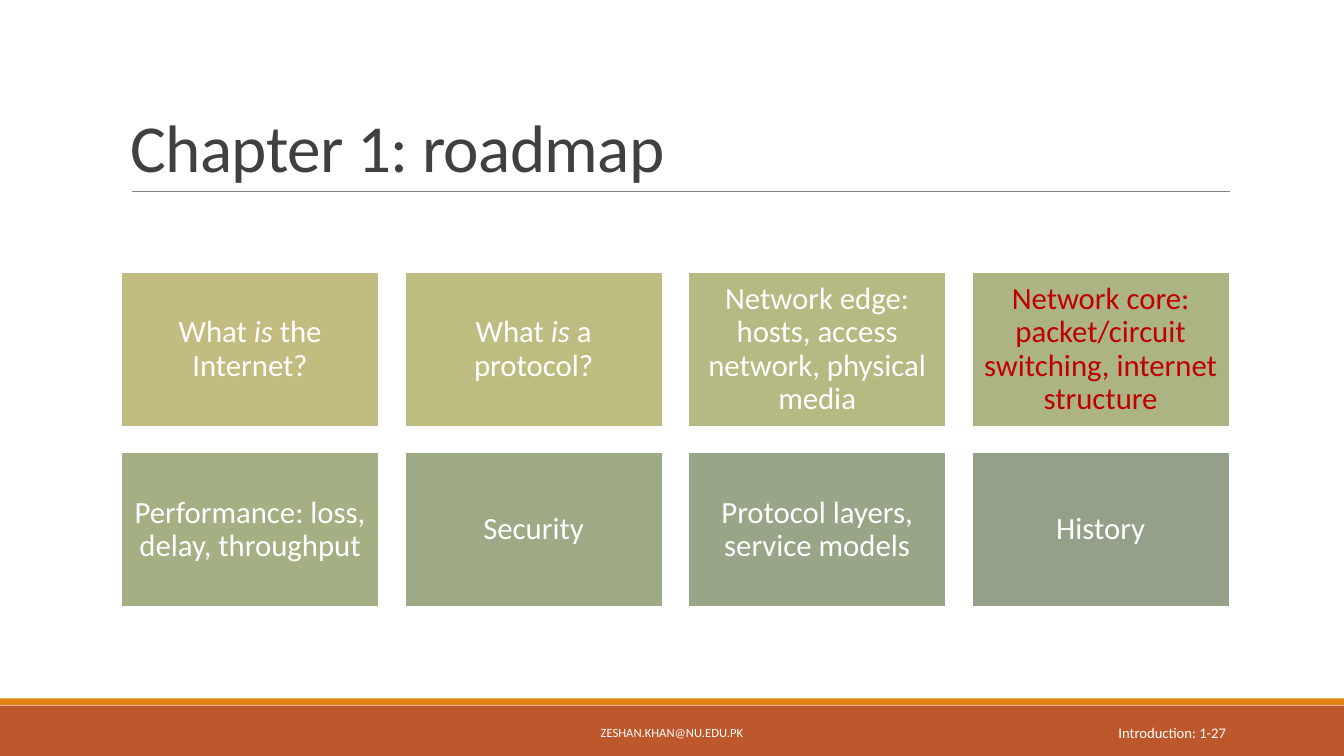
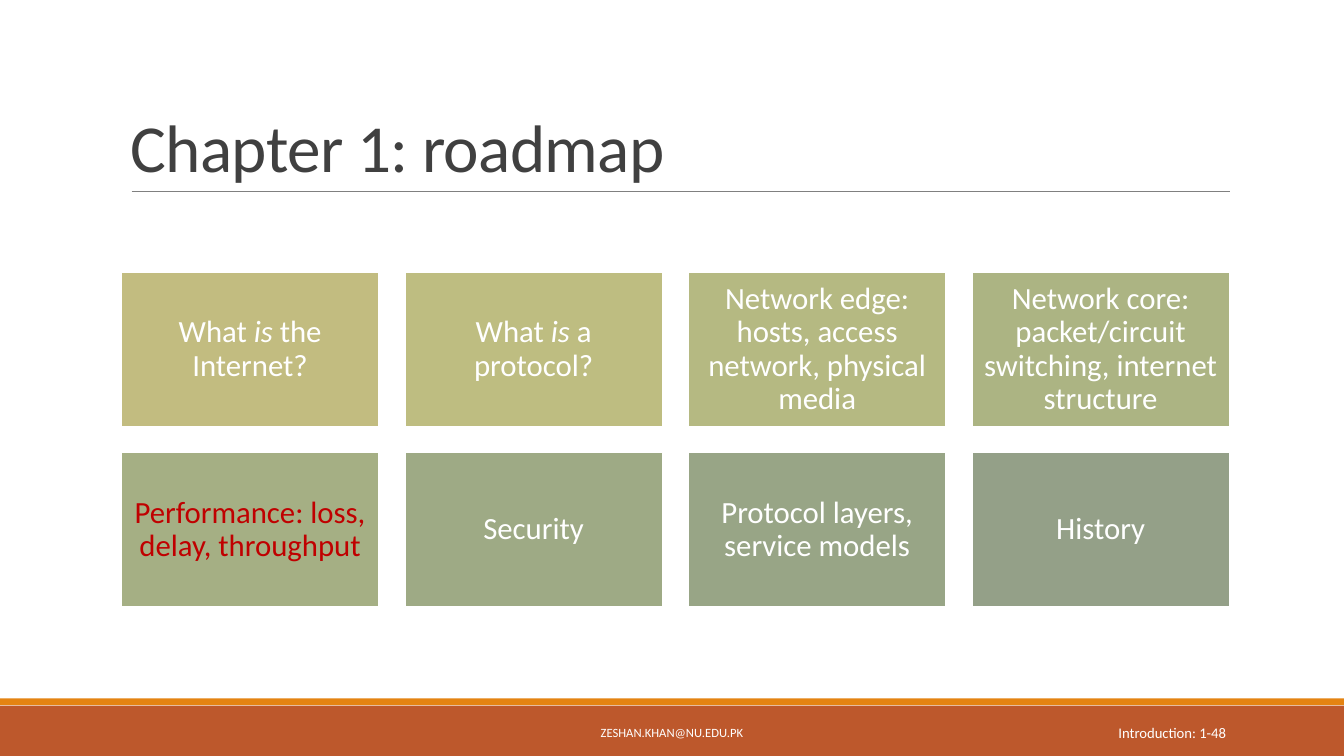
from dataclasses import dataclass

from lxml.etree import SubElement
from pptx import Presentation
from pptx.dml.color import RGBColor
from pptx.enum.shapes import MSO_CONNECTOR, MSO_SHAPE
from pptx.enum.text import MSO_ANCHOR, PP_ALIGN
from pptx.oxml.ns import qn
from pptx.shapes.autoshape import Shape
from pptx.slide import Slide
from pptx.util import Pt

COLORS = {
    "band": "BD582C",
    "stripe": "E48312",
    "rule": "808080",
    "title": "404040",
    "white": "FFFFFF",
    "highlight": "C00000",
}
FONT = "Calibri"
SLIDE_WIDTH, SLIDE_HEIGHT = 960, 540
COLUMNS = 4
TILE_LEFT, TILE_TOP = 86.6, 194.5
TILE_WIDTH, TILE_HEIGHT, TILE_GAP = 184.1, 110.4, 18.4


@dataclass(frozen=True)
class Box:
    left: float
    top: float
    width: float
    height: float

    def lengths(self) -> tuple[Pt, Pt, Pt, Pt]:
        return Pt(self.left), Pt(self.top), Pt(self.width), Pt(self.height)


@dataclass(frozen=True)
class TextStyle:
    size: float
    color: str = COLORS["white"]
    alignment: PP_ALIGN = PP_ALIGN.CENTER
    anchor: MSO_ANCHOR = MSO_ANCHOR.MIDDLE
    line_spacing: float = 1.0
    margin_x: float = 7.2
    margin_y: float = 3.6
    tracking: float = 0


@dataclass(frozen=True)
class Topic:
    """A roadmap tile; runs at odd positions are italic."""

    fill: str
    runs: tuple[str, ...]


@dataclass(frozen=True)
class Roadmap:
    page: int
    current_topic: int


TITLE_STYLE = TextStyle(48, COLORS["title"], PP_ALIGN.LEFT, MSO_ANCHOR.BOTTOM,
                        line_spacing=0.85, tracking=-0.5)
ADDRESS_STYLE = TextStyle(9)
PAGE_STYLE = TextStyle(10.5, alignment=PP_ALIGN.RIGHT)

TOPICS = (
    Topic("C2BC80", ("What ", "is", " the Internet?")),
    Topic("BEBD81", ("What", " is ", "a protocol?")),
    Topic("B5B982", ("Network edge: hosts, access network, physical media",)),
    Topic("ACB483", ("Network core: packet/circuit switching, internet structure",)),
    Topic("A5AF84", ("Performance: loss, delay, throughput",)),
    Topic("9EAA85", ("Security",)),
    Topic("98A586", ("Protocol layers, service models",)),
    Topic("94A088", ("History",)),
)
ROADMAPS = (Roadmap(page=27, current_topic=3), Roadmap(page=48, current_topic=4))


def rgb(color: str) -> RGBColor:
    return RGBColor.from_string(color)


def write_text(shape: Shape, runs: tuple[str, ...], style: TextStyle) -> None:
    frame = shape.text_frame
    frame_format = {
        "word_wrap": True,
        "vertical_anchor": style.anchor,
        "margin_left": Pt(style.margin_x),
        "margin_right": Pt(style.margin_x),
        "margin_top": Pt(style.margin_y),
        "margin_bottom": Pt(style.margin_y),
    }
    for name, value in frame_format.items():
        setattr(frame, name, value)
    paragraph = frame.paragraphs[0]
    paragraph.alignment = style.alignment
    paragraph.line_spacing = style.line_spacing
    for index, text in enumerate(runs):
        run = paragraph.add_run()
        run.text = text
        font_format = {"name": FONT, "size": Pt(style.size), "italic": index % 2 == 1}
        for name, value in font_format.items():
            setattr(run.font, name, value)
        run.font.color.rgb = rgb(style.color)
        if style.tracking:
            run._r.get_or_add_rPr().set("spc", str(round(style.tracking * 100)))


def add_text(slide: Slide, box: Box, text: str, style: TextStyle) -> None:
    write_text(slide.shapes.add_textbox(*box.lengths()), (text,), style)


def add_rectangle(slide: Slide, box: Box, fill: str) -> Shape:
    shape = slide.shapes.add_shape(MSO_SHAPE.RECTANGLE, *box.lengths())
    shape.shadow.inherit = False
    shape.fill.solid()
    shape.fill.fore_color.rgb = rgb(fill)
    shape.line.fill.background()
    return shape


def add_title_rule(slide: Slide) -> None:
    rule = slide.shapes.add_connector(
        MSO_CONNECTOR.STRAIGHT, Pt(94.1), Pt(136.8), Pt(878.9), Pt(136.8))
    rule.line.color.rgb = rgb(COLORS["rule"])
    rule.line.width = Pt(0.5)
    SubElement(rule._element.spPr, qn("a:effectLst"))


def add_frame(slide: Slide, title: str, page: int) -> None:
    """Draw the bands, title and footer that every slide has."""
    add_rectangle(slide, Box(0, 504, SLIDE_WIDTH, 36), COLORS["band"])
    add_rectangle(slide, Box(0, 498.8, SLIDE_WIDTH, 5), COLORS["stripe"])
    add_title_rule(slide)
    add_text(slide, Box(86.4, 22.6, 792, 114.2), title, TITLE_STYLE)
    add_text(slide, Box(290.2, 508.6, 379.4, 28.8), "ZESHAN.KHAN@NU.EDU.PK", ADDRESS_STYLE)
    add_text(slide, Box(779.6, 508.6, 103.3, 28.8), f"Introduction: 1-{page}", PAGE_STYLE)


def add_topics(slide: Slide, current_topic: int) -> None:
    for index, topic in enumerate(TOPICS):
        row, column = divmod(index, COLUMNS)
        box = Box(TILE_LEFT + column * (TILE_WIDTH + TILE_GAP),
                  TILE_TOP + row * (TILE_HEIGHT + TILE_GAP),
                  TILE_WIDTH, TILE_HEIGHT)
        tile = add_rectangle(slide, box, topic.fill)
        tile.line.color.rgb = rgb(COLORS["white"])
        tile.line.width = Pt(1.25)
        color = COLORS["highlight" if index == current_topic else "white"]
        style = TextStyle(22, color, line_spacing=0.9, margin_x=6.6, margin_y=6.6)
        write_text(tile, topic.runs, style)


def main() -> None:
    presentation = Presentation()
    presentation.slide_width = Pt(SLIDE_WIDTH)
    presentation.slide_height = Pt(SLIDE_HEIGHT)
    blank_layout = presentation.slide_layouts[6]
    for roadmap in ROADMAPS:
        slide = presentation.slides.add_slide(blank_layout)
        add_frame(slide, "Chapter 1: roadmap", roadmap.page)
        add_topics(slide, roadmap.current_topic)
    presentation.save("out.pptx")


if __name__ == "__main__":
    main()
